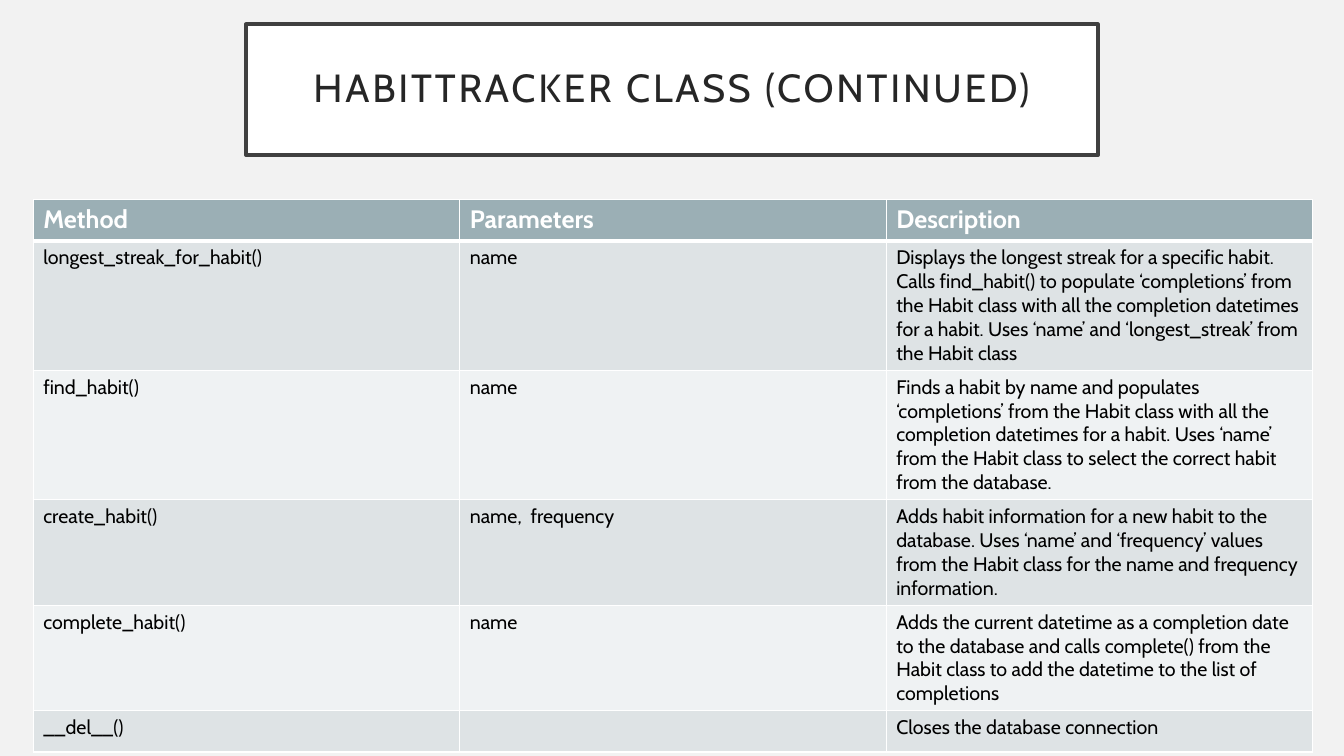
"""Build the HabitTracker class slide with its table of methods."""
from lxml import etree
from pptx import Presentation
from pptx.dml.color import RGBColor
from pptx.enum.shapes import MSO_SHAPE
from pptx.enum.text import MSO_ANCHOR, PP_ALIGN
from pptx.oxml.ns import qn
from pptx.util import Inches, Pt

TITLE = "HABITTRACKER CLASS (CONTINUED)"
ROWS = [
    ("Method", "Parameters", "Description"),
    ("longest_streak_for_habit()", "name",
     "Displays the longest streak for a specific habit. Calls find_habit() to populate "
     "‘completions’ from the Habit class with all the completion datetimes for a habit. "
     "Uses ‘name’ and ‘longest_streak’ from the Habit class"),
    ("find_habit()", "name",
     "Finds a habit by name and populates ‘completions’ from the Habit class with all the "
     "completion datetimes for a habit. Uses ‘name’ from the Habit class to select the "
     "correct habit from the database."),
    ("create_habit()", "name,  frequency",
     "Adds habit information for a new habit to the database. Uses ‘name’ and ‘frequency’ "
     "values from the Habit class for the name and frequency information."),
    ("complete_habit()", "name",
     "Adds the current datetime as a completion date to the database and calls complete() "
     "from the Habit class to add the datetime to the list of completions"),
    ("__del__()", "", "Closes the database connection"),
]

FONT = "Cabin"
BACKGROUND = RGBColor(0xF2, 0xF2, 0xF2)
WHITE = RGBColor(0xFF, 0xFF, 0xFF)
BLACK = RGBColor(0, 0, 0)
FRAME = RGBColor(0x40, 0x40, 0x40)
TITLE_INK = RGBColor(0x26, 0x26, 0x26)
HEADER = RGBColor(0x9B, 0xAF, 0xB5)
BANDS = (RGBColor(0xEF, 0xF2, 0xF3), RGBColor(0xDE, 0xE3, 0xE5))
RECT = MSO_SHAPE.RECTANGLE
MIDDLE = MSO_ANCHOR.MIDDLE
CENTER = PP_ALIGN.CENTER
COL_W, ROW_H = 4.23, 0.41


def add_run(p, text, size, color, bold=False):
    r = p.add_run()
    r.text = text
    r.font.name = FONT
    r.font.size = Pt(size)
    r.font.bold = bold
    r.font.color.rgb = color
    return r


def set_borders(cell, top, bottom):
    tcPr = cell._tc.get_or_add_tcPr()
    sides = (("a:lnL", 1), ("a:lnR", 1), ("a:lnT", top), ("a:lnB", bottom))
    for i, (tag, width) in enumerate(sides):
        ln = etree.Element(qn(tag), w=str(Pt(width)))
        fill = etree.SubElement(ln, qn("a:solidFill"))
        etree.SubElement(fill, qn("a:srgbClr"), val=str(WHITE))
        tcPr.insert(i, ln)


def add_title(s):
    sp = s.shapes.add_shape(RECT, Inches(2.44), Inches(0.24), Inches(8.45), Inches(1.3))
    sp.shadow.inherit = False
    sp.fill.solid()
    sp.fill.fore_color.rgb = WHITE
    sp.line.color.rgb = FRAME
    sp.line.width = Pt(2.5)
    tf = sp.text_frame
    tf.word_wrap = True
    tf.vertical_anchor = MIDDLE
    tf.margin_left = tf.margin_right = tf.margin_top = tf.margin_bottom = Inches(0.2)
    p = tf.paragraphs[0]
    p.alignment = CENTER
    p.line_spacing = 0.9
    r = add_run(p, TITLE, 28, TITLE_INK)
    r._r.get_or_add_rPr().set("spc", "200")


def add_methods(s):
    n_rows, n_cols = len(ROWS), len(ROWS[0])
    table = s.shapes.add_table(n_rows, n_cols, Inches(0.33), Inches(1.98),
                               Inches(COL_W * n_cols), Inches(ROW_H * n_rows)).table
    for col in table.columns:
        col.width = Inches(COL_W)
    for i, row in enumerate(ROWS):
        table.rows[i].height = Inches(ROW_H)
        for j, text in enumerate(row):
            cell = table.cell(i, j)
            cell.fill.solid()
            cell.fill.fore_color.rgb = BANDS[i % 2] if i else HEADER
            set_borders(cell, 3 if i == 1 else 1, 1 if i else 3)
            p = cell.text_frame.paragraphs[0]
            if text:
                add_run(p, text, 14 if i else 18, BLACK if i else WHITE, i == 0)


def main():
    prs = Presentation()
    prs.slide_width, prs.slide_height = Inches(13.33), Inches(7.5)
    s = prs.slides.add_slide(prs.slide_layouts[6])
    s.background.fill.solid()
    s.background.fill.fore_color.rgb = BACKGROUND
    add_title(s)
    add_methods(s)
    prs.save("out.pptx")


if __name__ == "__main__":
    main()
